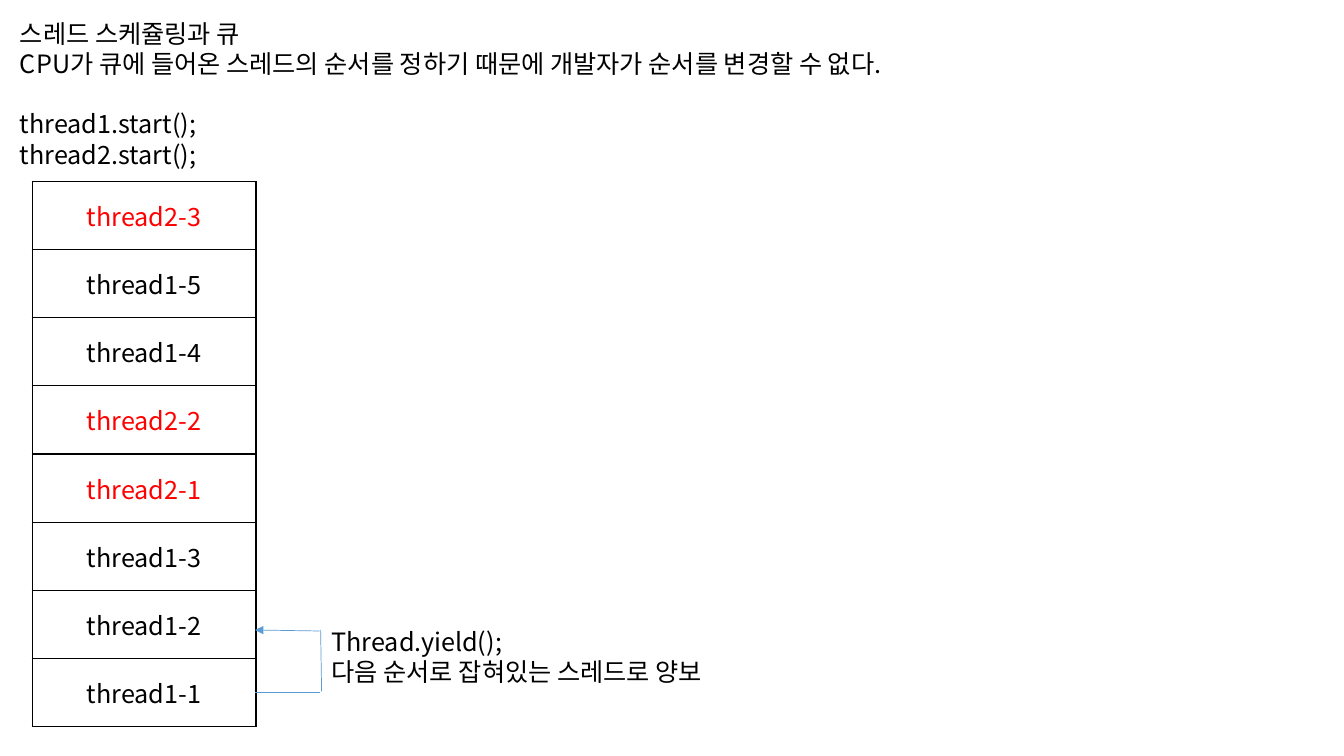
"""Build a slide that explains thread scheduling with a queue and Thread.yield()."""
from lxml import etree
from pptx import Presentation
from pptx.dml.color import RGBColor
from pptx.enum.shapes import MSO_CONNECTOR
from pptx.enum.text import MSO_ANCHOR, MSO_AUTO_SIZE, PP_ALIGN
from pptx.oxml.ns import qn
from pptx.util import Inches, Pt

FONT = "Noto Sans CJK KR"
BLACK = RGBColor(0x00, 0x00, 0x00)
RED = RGBColor(0xFF, 0x00, 0x00)
BLUE = RGBColor(0x5B, 0x9B, 0xD5)
ROW_HEIGHT = 0.676


def write(paragraph, text, color=BLACK):
    run = paragraph.add_run()
    run.text = text
    run.font.size = Pt(18)
    run.font.name = FONT
    run.font.color.rgb = color
    etree.SubElement(run.font._element, qn("a:ea"), typeface=FONT)


def add_lines(slide, left, top, width, height, lines):
    frame = slide.shapes.add_textbox(Inches(left), Inches(top), Inches(width), Inches(height)).text_frame
    frame.word_wrap = False
    frame.auto_size = MSO_AUTO_SIZE.SHAPE_TO_FIT_TEXT
    for index, line in enumerate(lines):
        paragraph = frame.paragraphs[0] if index == 0 else frame.add_paragraph()
        paragraph.line_spacing = Pt(21.6)
        write(paragraph, line)
    return frame


prs = Presentation()
prs.slide_width, prs.slide_height = Inches(13.33), Inches(7.5)
slide = prs.slides.add_slide(prs.slide_layouts[6])

intro = add_lines(slide, 0.1, 0.13, 9.74, 1.62, [
    "스레드 스케쥴링과 큐",
    "CPU가 큐에 들어온 스레드의 순서를 정하기 때문에 개발자가 순서를 변경할 수 없다.",
    "thread1.start();",
    "thread2.start();",
])
intro.paragraphs[2].space_before = Pt(21.6)

queue = ["thread2-3", "thread1-5", "thread1-4", "thread2-2",
         "thread2-1", "thread1-3", "thread1-2", "thread1-1"]
table = slide.shapes.add_table(len(queue), 1, Inches(0.32), Inches(1.8), Inches(2.22),
                               Inches(ROW_HEIGHT * len(queue))).table
table.first_row = table.horz_banding = False
for row, name in enumerate(queue):
    table.rows[row].height = Inches(ROW_HEIGHT)
    cell = table.cell(row, 0)
    cell.vertical_anchor = MSO_ANCHOR.MIDDLE
    paragraph = cell.text_frame.paragraphs[0]
    paragraph.alignment = PP_ALIGN.CENTER
    write(paragraph, name, RED if name.startswith("thread2") else BLACK)
    properties = cell._tc.get_or_add_tcPr()
    for side in ("lnL", "lnR", "lnT", "lnB"):
        border = etree.SubElement(properties, qn(f"a:{side}"), w=str(Pt(1)))
        fill = etree.SubElement(border, qn("a:solidFill"))
        etree.SubElement(fill, qn("a:srgbClr"), val=str(BLACK))
    cell.fill.background()

yield_path = [((2.53, 6.87), (3.17, 6.87)),
              ((3.19, 6.86), (3.18, 6.25)),
              ((3.17, 6.26), (2.53, 6.25))]
for start, end in yield_path:
    segment = slide.shapes.add_connector(MSO_CONNECTOR.STRAIGHT, *map(Inches, start + end))
    segment.line.color.rgb = BLUE
    segment.line.width = Pt(0.5)
    etree.SubElement(segment._element.spPr, qn("a:effectLst"))
etree.SubElement(segment.line._get_or_add_ln(), qn("a:tailEnd"), type="triangle")

add_lines(slide, 3.19, 6.16, 4.35, 0.71, ["Thread.yield();", "다음 순서로 잡혀있는 스레드로 양보"])

prs.save("out.pptx")
